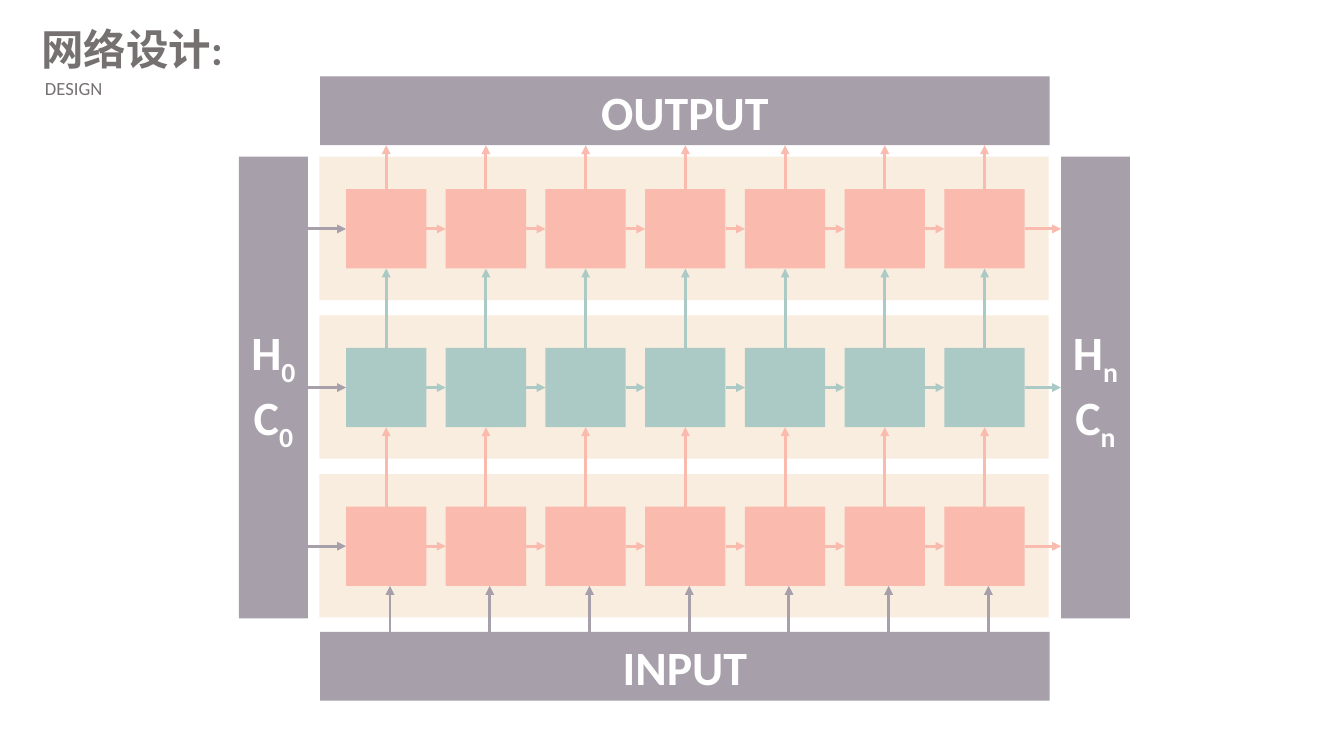
from lxml.etree import SubElement
from pptx import Presentation
from pptx.dml.color import RGBColor
from pptx.enum.shapes import MSO_CONNECTOR as Connector, MSO_SHAPE as Shape
from pptx.enum.text import MSO_ANCHOR as Anchor, MSO_AUTO_SIZE as AutoSize, PP_ALIGN as Align
from pptx.oxml.ns import qn
from pptx.util import Inches, Pt

COLORS = {
    "heading": "767171",
    "band": "F9EDDF",
    "pink": "FABAAE",
    "teal": "ABCAC5",
    "mauve": "A79FAA",
    "white": "FFFFFF",
}
FONT = "Calibri"
TOP, LEFT, BOTTOM, RIGHT = range(4)

# Network grid, in inches: rows run from the output down to the input
ROW_COLORS = ("pink", "teal", "pink")
COLUMNS = 7
CELL_WIDTH, CELL_HEIGHT = 0.84, 0.83
FIRST_LEFT, LAST_LEFT = 3.62, 9.88
COLUMN_PITCH = (LAST_LEFT - FIRST_LEFT) / (COLUMNS - 1)
FIRST_TOP, ROW_PITCH = 1.98, 1.66

BAND_LEFT, BAND_TOP, BAND_WIDTH, BAND_HEIGHT = 3.34, 1.64, 7.63, 1.5
BAR_LEFT, BAR_THICKNESS = 3.35, 0.72
OUTPUT_TOP, INPUT_TOP = 0.8, 6.61
STATE_LEFT, STATE_RIGHT, STATE_HEIGHT = 2.5, 11.1, 4.83
INPUT_ARROW_SHIFT = 0.04


def color(name):
    return RGBColor.from_string(COLORS[name])


def set_font(paragraph, size, color_name, bold=False):
    font = paragraph.font
    font.name, font.size, font.bold = FONT, Pt(size), bold
    font.color.rgb = color(color_name)


def add_heading(placeholder, text, box, size, bold=False, indent=0):
    placeholder.left, placeholder.top, placeholder.width, placeholder.height = map(Inches, box)
    frame = placeholder.text_frame
    frame.text = text
    frame.auto_size = AutoSize.NONE
    frame.vertical_anchor = Anchor.MIDDLE
    frame.margin_left = Inches(indent)
    frame.margin_right = frame.margin_top = frame.margin_bottom = 0
    paragraph = frame.paragraphs[0]
    paragraph.alignment = Align.LEFT
    paragraph.space_before = Pt(0)
    set_font(paragraph, size, "heading", bold)


def add_rectangle(slide, box, fill):
    shape = slide.shapes.add_shape(Shape.RECTANGLE, *map(Inches, box))
    shape.shadow.inherit = False
    shape.fill.solid()
    shape.fill.fore_color.rgb = color(fill)
    shape.line.fill.background()
    return shape


def add_bar(slide, box, lines):
    """Add a labelled bar; each line is a (text, subscript) pair."""
    bar = add_rectangle(slide, box, "mauve")
    frame = bar.text_frame
    frame.word_wrap = True
    frame.vertical_anchor = Anchor.MIDDLE
    for index, (text, subscript) in enumerate(lines):
        paragraph = frame.paragraphs[0] if index == 0 else frame.add_paragraph()
        paragraph.alignment = Align.CENTER
        set_font(paragraph, 36, "white", bold=True)
        paragraph.add_run().text = text
        if subscript:
            run = paragraph.add_run()
            run.text = subscript
            run._r.get_or_add_rPr().set("baseline", "-25000")
    return bar


def side_middle(shape, side):
    x = shape.left + {LEFT: 0, RIGHT: shape.width}.get(side, shape.width // 2)
    y = shape.top + {TOP: 0, BOTTOM: shape.height}.get(side, shape.height // 2)
    return x, y


def add_arrow(slide, start, end, color_name):
    """Add an arrow; an end is an (x, y) point or a (shape, side) to join."""
    ends = [(value, None) if isinstance(value, int) else (value, side)
            for value, side in (start, end)]
    points = [point if side is None else side_middle(*point)
              for point, (_, side) in zip((start, end), ends)]
    arrow = slide.shapes.add_connector(Connector.STRAIGHT, *points[0], *points[1])
    for (shape, side), connect in zip(ends, (arrow.begin_connect, arrow.end_connect)):
        if side is not None:
            connect(shape, side)
    arrow.line.width = Pt(2.25)
    arrow.line.color.rgb = color(color_name)
    SubElement(arrow.line._get_or_add_ln(), qn("a:tailEnd"), type="triangle")
    SubElement(arrow._element.spPr, qn("a:effectLst"))


def add_row(slide, row, fill):
    """Add one band with its cells and return the cells."""
    offset = row * ROW_PITCH
    add_rectangle(slide, (BAND_LEFT, BAND_TOP + offset, BAND_WIDTH, BAND_HEIGHT), "band")
    return [
        add_rectangle(slide, (FIRST_LEFT + column * COLUMN_PITCH, FIRST_TOP + offset,
                              CELL_WIDTH, CELL_HEIGHT), fill)
        for column in range(COLUMNS)
    ]


def join_row(slide, cells, first_state, last_state, color_name):
    """Draw the arrows from the first state through the cells to the last."""
    y = side_middle(cells[0], LEFT)[1]
    is_middle = y == side_middle(first_state, RIGHT)[1]
    start = (first_state, RIGHT) if is_middle else (first_state.left + first_state.width, y)
    end = (last_state, LEFT) if is_middle else (last_state.left, y)
    add_arrow(slide, start, (cells[0], LEFT), "mauve")
    for cell, following in zip(cells, cells[1:]):
        add_arrow(slide, (cell, RIGHT), (following, LEFT), color_name)
    add_arrow(slide, (cells[-1], RIGHT), end, color_name)


def join_columns(slide, rows, output_bar, input_bar):
    """Draw the upward arrows from the input through the rows to the output."""
    for upper, lower, color_name in zip(rows, rows[1:], ROW_COLORS[1:]):
        for target, source in zip(upper, lower):
            add_arrow(slide, (source, TOP), (target, BOTTOM), color_name)
    for cell in rows[0]:
        x = side_middle(cell, TOP)[0]
        add_arrow(slide, (cell, TOP), (x, output_bar.top + output_bar.height), ROW_COLORS[0])
    for cell in rows[-1]:
        x, y = side_middle(cell, BOTTOM)
        x += Inches(INPUT_ARROW_SHIFT)
        add_arrow(slide, (x, input_bar.top), (x, y), "mauve")


def main():
    presentation = Presentation()
    presentation.slide_width, presentation.slide_height = Inches(14.06), Inches(7.91)
    slide = presentation.slides.add_slide(presentation.slide_layouts[0])
    title, subtitle = slide.placeholders
    add_heading(title, "网络设计:", (0.43, 0.24, 10.54, 0.54), 32, bold=True)
    add_heading(subtitle, "DESIGN", (0.43, 0.8, 3.07, 0.24), 14, indent=0.04)

    rows = [add_row(slide, row, fill) for row, fill in enumerate(ROW_COLORS)]
    input_bar, output_bar = (
        add_bar(slide, (BAR_LEFT, top, BAND_WIDTH, BAR_THICKNESS), [(label, "")])
        for top, label in ((INPUT_TOP, "INPUT"), (OUTPUT_TOP, "OUTPUT"))
    )
    first_state, last_state = (
        add_bar(slide, (left, BAND_TOP, BAR_THICKNESS, STATE_HEIGHT),
                [("H", step), ("C", step)])
        for left, step in ((STATE_LEFT, "0"), (STATE_RIGHT, "n"))
    )

    join_columns(slide, rows, output_bar, input_bar)
    for cells, color_name in zip(rows, ROW_COLORS):
        join_row(slide, cells, first_state, last_state, color_name)
    presentation.save("out.pptx")


if __name__ == "__main__":
    main()
